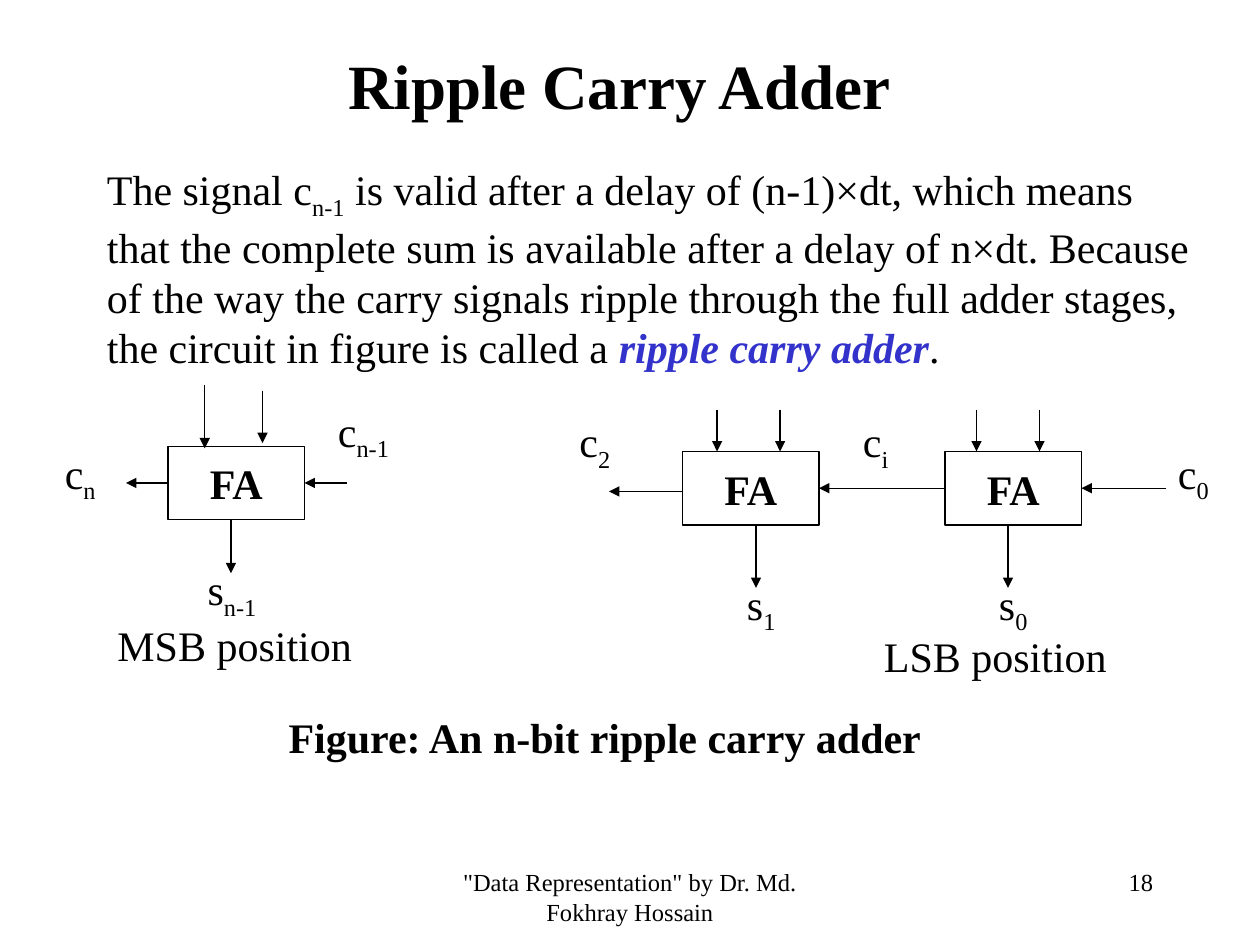
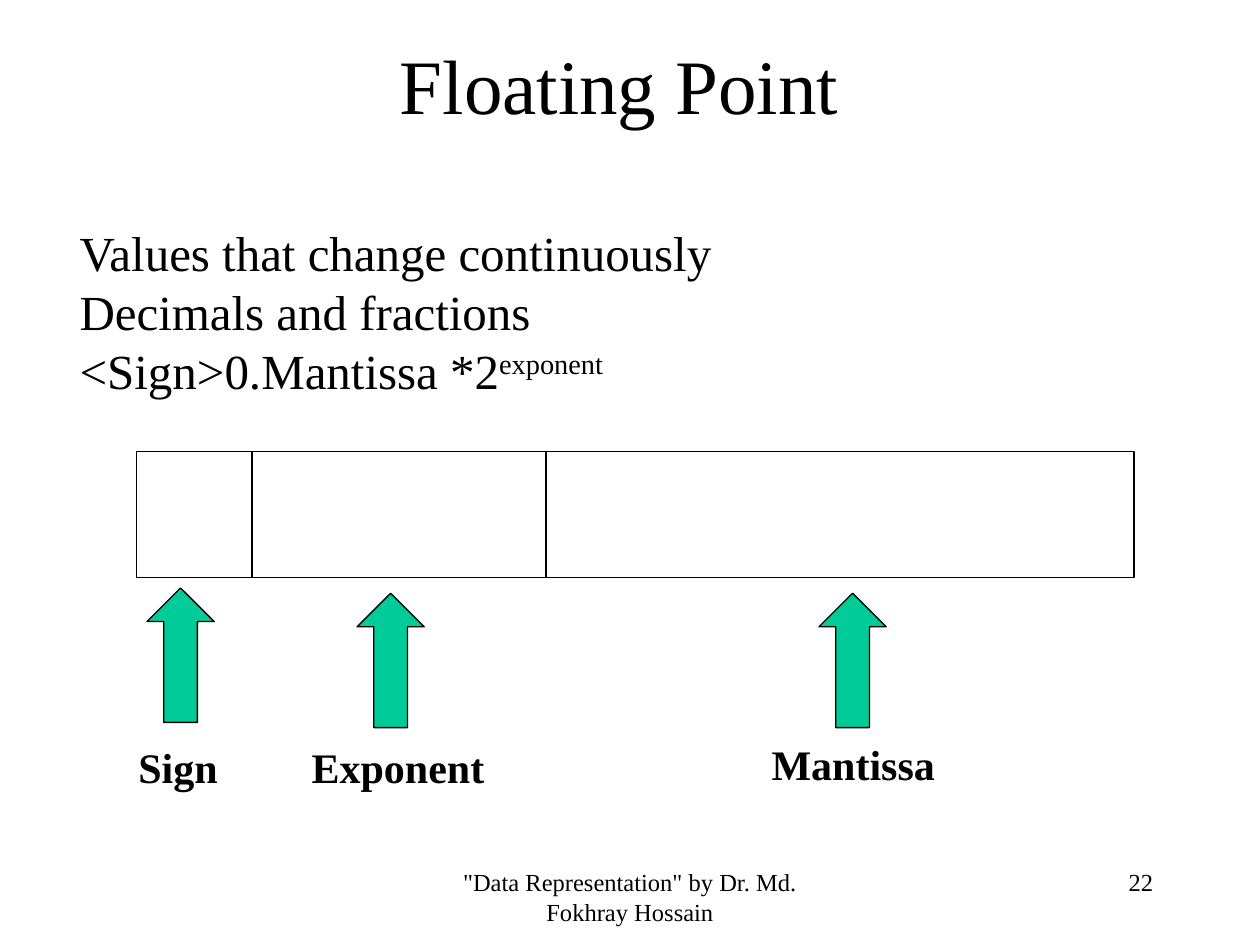
from lxml.etree import SubElement
from pptx import Presentation
from pptx.dml.color import RGBColor
from pptx.enum.shapes import MSO_CONNECTOR, MSO_SHAPE
from pptx.enum.text import MSO_ANCHOR, PP_ALIGN
from pptx.oxml.ns import qn
from pptx.util import Pt

PX = 7620
FONT = "Times New Roman"
BLACK, WHITE, TERM_BLUE, ARROW_GREEN = "000000", "FFFFFF", "3333CC", "00CC99"
BASELINES = {"sub": "-25000", "sup": "30000"}
LEFT, CENTER, RIGHT = PP_ALIGN.LEFT, PP_ALIGN.CENTER, PP_ALIGN.RIGHT
TITLE_BOX = (80, 30, 1020, 100)
FOOTER_BOX = (410, 820, 380, 60)
NUMBER_BOX = (860, 820, 250, 60)
FOOTER = '"Data Representation" by Dr. Md. Fokhray Hossain'


def add_block(slide, box, paragraphs=(), size=24, bold=False, align=LEFT,
              middle=False, wrap=True, preset=None, fill=WHITE):
    bounds = [length * PX for length in box]
    if preset is None:
        shape = slide.shapes.add_textbox(*bounds)
    else:
        shape = slide.shapes.add_shape(preset, *bounds)
        shape.shadow.inherit = False
        shape.fill.solid()
        shape.fill.fore_color.rgb = RGBColor.from_string(fill)
        shape.line.color.rgb = RGBColor.from_string(BLACK)
        shape.line.width = Pt(0.75)
    frame = shape.text_frame
    frame.word_wrap = wrap
    frame.vertical_anchor = MSO_ANCHOR.MIDDLE if middle else MSO_ANCHOR.TOP
    for index, runs in enumerate(paragraphs):
        paragraph = frame.add_paragraph() if index else frame.paragraphs[0]
        paragraph.alignment = align
        for text, style in runs:
            run = paragraph.add_run()
            run.text = text
            run.font.name = FONT
            run.font.size = Pt(size)
            run.font.bold = bold or style == "term"
            run.font.italic = style == "term"
            color = TERM_BLUE if style == "term" else BLACK
            run.font.color.rgb = RGBColor.from_string(color)
            if style in BASELINES:
                run._r.get_or_add_rPr().set("baseline", BASELINES[style])


def add_line(slide, points, arrow=True):
    connector = slide.shapes.add_connector(
        MSO_CONNECTOR.STRAIGHT, *[length * PX for length in points])
    connector.line.color.rgb = RGBColor.from_string(BLACK)
    connector.line.width = Pt(0.75)
    if arrow:
        SubElement(connector.line._get_or_add_ln(), qn("a:tailEnd"), type="triangle")
    SubElement(connector._element.spPr, qn("a:effectLst"))


presentation = Presentation()
presentation.slide_width = 1200 * PX
presentation.slide_height = 900 * PX

slides = []
for title, size, bold, number in [("Ripple Carry Adder", 36, True, "18"),
                                  ("Floating Point", 44, False, "22")]:
    slide = presentation.slides.add_slide(presentation.slide_layouts[6])
    add_block(slide, TITLE_BOX, [[(title, "")]], size, bold, CENTER, middle=True)
    add_block(slide, FOOTER_BOX, [[(FOOTER, "")]], 14, align=CENTER)
    add_block(slide, NUMBER_BOX, [[(number, "")]], 14, align=RIGHT)
    slides.append(slide)
adder_slide, floating_slide = slides

add_block(adder_slide, (90, 150, 1060, 211), [[
    ("The signal c", ""), ("n-1", "sub"),
    (" is valid after a delay of (n-1)×dt, which means that the complete sum is "
     "available after a delay of n×dt. Because of the way the carry signals ripple "
     "through the full adder stages, the circuit in figure is called a ", ""),
    ("ripple carry adder", "term"), (".", "")]])

for left, top in [(650, 430), (160, 425), (900, 430)]:
    add_block(adder_slide, (left, top, 130, 70), [[("FA", "")]], bold=True,
              align=CENTER, middle=True, wrap=False, preset=MSO_SHAPE.RECTANGLE)

for start, end, y in [(1110, 1030, 465), (900, 780, 465), (650, 580, 468),
                      (330, 290, 460), (160, 120, 460)]:
    add_line(adder_slide, (start, y, end, y))

for x, start, end in [(990, 390, 430), (930, 390, 430), (743, 390, 430),
                      (683, 390, 430), (250, 372, 422), (195, 367, 427),
                      (220, 495, 546), (960, 500, 560), (720, 500, 560)]:
    add_line(adder_slide, (x, start, x, end))

for subscript, left, top, width in [("i", 810, 390, 60), ("n", 50, 420, 60),
                                    ("0", 1110, 420, 60), ("2", 540, 390, 60),
                                    ("n-1", 310, 380, 100)]:
    add_block(adder_slide, (left, top, width, 67), [[("c", ""), (subscript, "sub")]])

for subscript, left, top in [("1", 680, 545), ("0", 920, 545), ("n-1", 176, 531)]:
    add_block(adder_slide, (left, top, 90, 67), [[("s", ""), (subscript, "sub")]],
              align=CENTER)

for label, left, top in [("MSB position", 100, 584), ("LSB position", 830, 595)]:
    add_block(adder_slide, (left, top, 260, 60), [[(label, "")]])
add_block(adder_slide, (263, 672, 670, 60),
          [[("Figure: An n-bit ripple carry adder", "")]], bold=True)

add_block(floating_slide, (64, 206, 1136, 173), [
    [("Values that change continuously", "")],
    [("Decimals and fractions", "")],
    [("<Sign>0.Mantissa *2", ""), ("exponent", "sup")]], size=28)

add_block(floating_slide, (130, 430, 950, 120), preset=MSO_SHAPE.RECTANGLE)
for divider in (240, 520):
    add_line(floating_slide, (divider, 430, divider, 550), arrow=False)

for field, arrow_left, arrow_top, label_left, label_top, width in [
        ("Sign", 140, 560, 120, 700, 118),
        ("Exponent", 340, 565, 285, 700, 200),
        ("Mantissa", 780, 565, 723, 697, 200)]:
    add_block(floating_slide, (arrow_left, arrow_top, 64, 128),
              preset=MSO_SHAPE.UP_ARROW, fill=ARROW_GREEN)
    add_block(floating_slide, (label_left, label_top, width, 60), [[(field, "")]], bold=True)

presentation.save("out.pptx")
